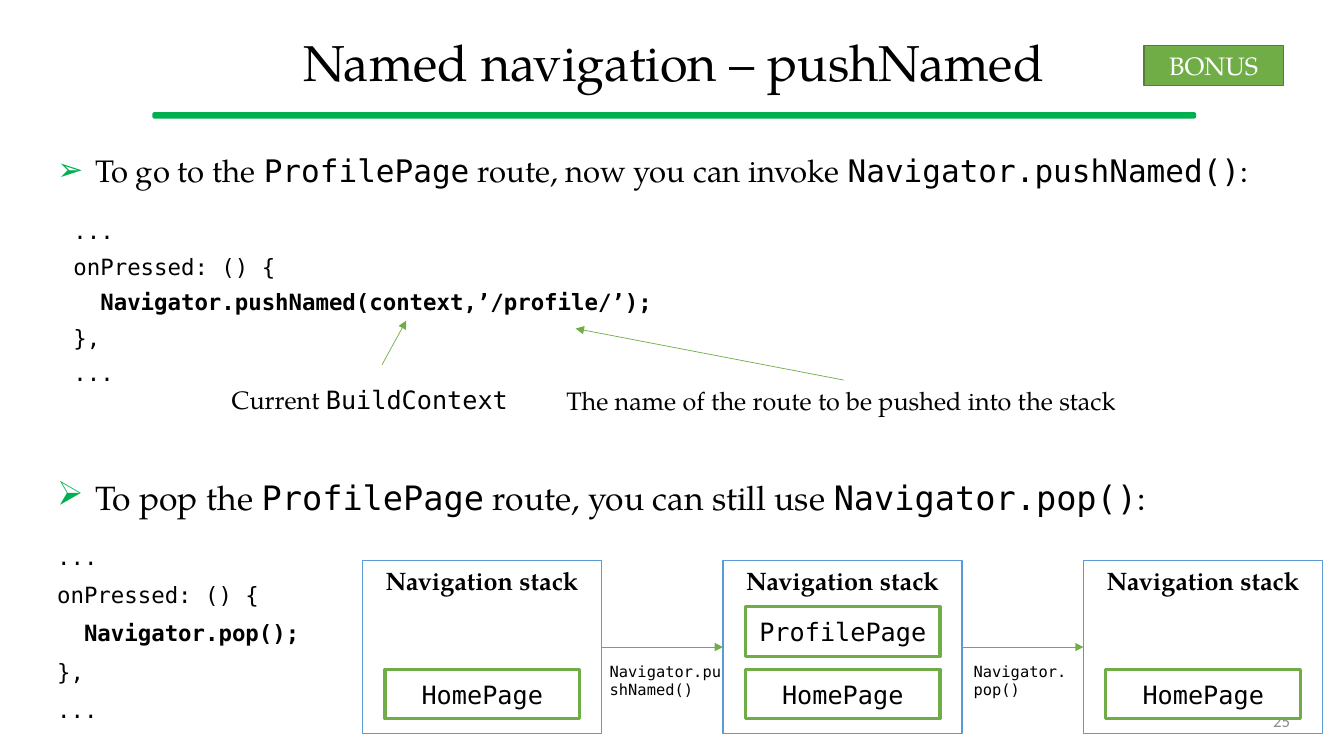
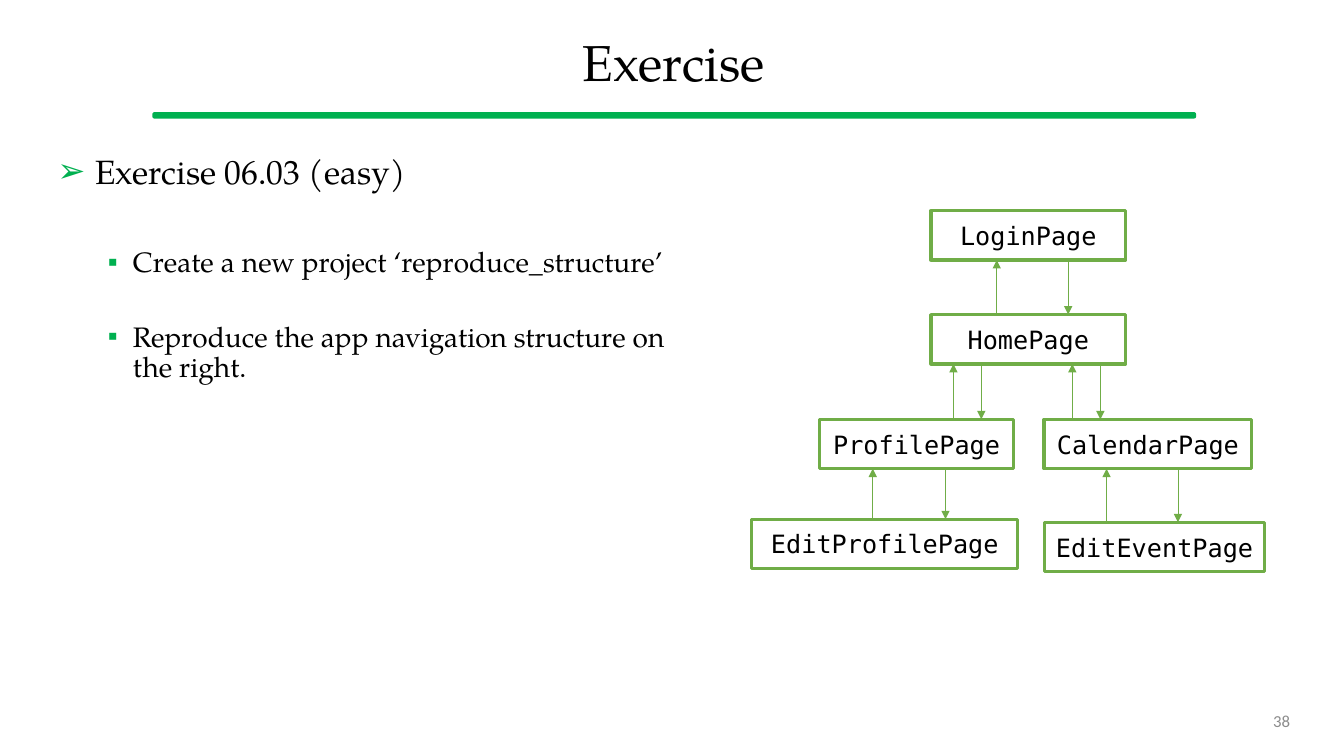
import collections

import lxml.etree
import pptx
import pptx.dml.color
import pptx.enum.shapes
import pptx.enum.text
import pptx.oxml.ns
import pptx.util

Pt = pptx.util.Pt
RGBColor = pptx.dml.color.RGBColor
Shape = pptx.enum.shapes.MSO_SHAPE
Align = pptx.enum.text.PP_ALIGN
Anchor = pptx.enum.text.MSO_ANCHOR
qn = pptx.oxml.ns.qn
Box = collections.namedtuple("Box", "left top width height")

BLACK = RGBColor(0x00, 0x00, 0x00)
WHITE = RGBColor(0xFF, 0xFF, 0xFF)
GRAY = RGBColor(0x8C, 0x8C, 0x8C)
ACCENT = RGBColor(0x00, 0xB0, 0x50)
GREEN = RGBColor(0x70, 0xAD, 0x47)
DARK_GREEN = RGBColor(0x53, 0x80, 0x35)
BLUE = RGBColor(0x5B, 0x9B, 0xD5)

SERIF = "TeX Gyre Pagella"
MONO = "DejaVu Sans Mono"
SANS = "Calibri"

TITLE_BOX = Box(33.8, 13, 895, 67.7)
RULE_BOX = Box(109.4, 80.6, 744.5, 3.6)
NUMBER_BOX = Box(678, 500.4, 250.6, 28.8)
PAGE_WIDTH, PAGE_HEIGHT = 139, 35.3


def in_points(box):
    return [Pt(length) for length in box]


def write_para(para, text, size=18, font=SERIF, color=BLACK, bold=False,
               align=Align.LEFT, spacing=None, before=None):
    para.alignment = align
    if spacing:
        para.line_spacing = spacing
    if before is not None:
        para.space_before = Pt(before)
    for index, part in enumerate(text.split("`")):
        span = para.add_run()
        span.text = part
        span.font.size = Pt(size)
        span.font.name = MONO if index % 2 else font
        span.font.color.rgb = color
        span.font.bold = bold


def add_bullet(para, char, margin, hanging):
    properties = para._p.get_or_add_pPr()
    properties.set("marL", str(Pt(margin)))
    properties.set("indent", str(-Pt(hanging)))
    color = lxml.etree.SubElement(properties, qn("a:buClr"))
    lxml.etree.SubElement(color, qn("a:srgbClr"), val=str(ACCENT))
    lxml.etree.SubElement(properties, qn("a:buChar"), char=char)


def write_bullet(para, text, level=0, size=24, before=0):
    para.level = level
    add_bullet(para, *(("▪", 54, 18) if level else ("➢", 27, 27)))
    write_para(para, text, size=size, spacing=0.9, before=before)


def add_frame(slide, box, anchor=Anchor.TOP):
    frame = slide.shapes.add_textbox(*in_points(box)).text_frame
    frame.word_wrap = True
    frame.vertical_anchor = anchor
    return frame


def add_label(slide, box, text, anchor=Anchor.TOP, **style):
    write_para(add_frame(slide, box, anchor).paragraphs[0], text, **style)


def add_code(slide, box, lines, bold_line, spacing):
    frame = add_frame(slide, box)
    for index, line in enumerate(lines):
        para = frame.add_paragraph() if index else frame.paragraphs[0]
        write_para(para, line, size=16, font=MONO, bold=index == bold_line,
                   spacing=spacing, before=10 if index else 0)


def add_panel(slide, box, fill, line, weight, text="", kind=Shape.RECTANGLE,
              anchor=Anchor.MIDDLE, **style):
    panel = slide.shapes.add_shape(kind, *in_points(box))
    panel.shadow.inherit = False
    if fill is None:
        panel.fill.background()
    else:
        panel.fill.solid()
        panel.fill.fore_color.rgb = fill
    panel.line.color.rgb = line
    panel.line.width = Pt(weight)
    if text:
        panel.text_frame.word_wrap = True
        panel.text_frame.vertical_anchor = anchor
        write_para(panel.text_frame.paragraphs[0], text, align=Align.CENTER, **style)
    return panel


def add_page(slide, box, name):
    return add_panel(slide, box, WHITE, GREEN, 2.25, name, font=MONO)


def add_arrow(slide, start_x, start_y, end_x, end_y):
    arrow = slide.shapes.add_connector(
        pptx.enum.shapes.MSO_CONNECTOR.STRAIGHT,
        *in_points((start_x, start_y, end_x, end_y)))
    arrow.line.color.rgb = GREEN
    arrow.line.width = Pt(0.5)
    properties = arrow._element.spPr
    lxml.etree.SubElement(properties.find(qn("a:ln")), qn("a:tailEnd"), type="triangle")
    lxml.etree.SubElement(properties, qn("a:effectLst"))
    return arrow


def add_base(deck, title, number, body_box):
    slide = deck.slides.add_slide(deck.slide_layouts[1])
    rule = add_panel(slide, RULE_BOX, ACCENT, ACCENT, 1, kind=Shape.ROUNDED_RECTANGLE)
    rule.adjustments[0] = 0.26
    body = slide.placeholders[1]
    for holder, box in ((slide.shapes.title, TITLE_BOX), (body, body_box)):
        holder.left, holder.top, holder.width, holder.height = in_points(box)
        holder.text_frame.auto_size = pptx.enum.text.MSO_AUTO_SIZE.NONE
    heading = slide.shapes.title.text_frame
    heading.vertical_anchor = Anchor.MIDDLE
    write_para(heading.paragraphs[0], title, size=36, align=Align.CENTER, spacing=0.9)
    add_label(slide, NUMBER_BOX, number, anchor=Anchor.MIDDLE, size=12,
              font=SANS, color=GRAY, align=Align.RIGHT)
    return slide, body.text_frame


def add_stack(slide, box, pages):
    for index, name in enumerate(pages):
        page_box = Box(box.left + 16, box.top + 77.8 - 44.6 * index,
                       PAGE_WIDTH, PAGE_HEIGHT)
        add_page(slide, page_box, name)
    return add_panel(slide, box, None, BLUE, 1, "Navigation stack",
                     anchor=Anchor.TOP, bold=True)


def add_stack_row(slide, box):
    width, step = 170.7, (box.width - 170.7) / 2
    contents = (["HomePage"], ["HomePage", "ProfilePage"], ["HomePage"])
    stacks = [add_stack(slide, Box(box.left + step * index, box.top, width, box.height), pages)
              for index, pages in enumerate(contents)]
    calls = (("Navigator.pushNamed()", -1.3, 95.8), ("Navigator.pop()", 1.2, 83.5))
    for index, (call, shift, label_width) in enumerate(calls):
        gap_left = box.left + step * index + width
        middle = box.top + box.height / 2
        arrow = add_arrow(slide, gap_left, middle, gap_left + step - width, middle)
        arrow.begin_connect(stacks[index], 3)
        arrow.end_connect(stacks[index + 1], 1)
        add_label(slide, Box(gap_left + shift, middle + 7, label_width, 33.8),
                  call, size=11, font=MONO)


def add_push_example(slide, box):
    lines = ("...", "onPressed: () {", "  Navigator.pushNamed(context,’/profile/’);", "},", "...")
    add_code(slide, box, lines, bold_line=2, spacing=0.8)
    notes = (("Current `BuildContext`", Box(113, 115.2, 213, 28.8), (227.5, 105, 244.8, 73.5)),
             ("The name of the route to be pushed into the stack",
              Box(352, 116, 430, 28.8), (557.3, 116, 365.8, 79.2)))
    for text, note, (start_x, start_y, end_x, end_y) in notes:
        add_label(slide, Box(box.left + note.left, box.top + note.top, note.width, note.height),
                  text)
        add_arrow(slide, box.left + start_x, box.top + start_y,
                  box.left + end_x, box.top + end_y)


def build_navigation_slide(deck):
    slide, body = add_base(deck, "Named navigation – pushNamed", "25",
                           Box(33.8, 107.3, 888.5, 47.5))
    write_bullet(body.paragraphs[0], "To go to the `ProfilePage` route, now you can invoke "
                 "`Navigator.pushNamed()`:", size=22.2)
    add_push_example(slide, Box(45.4, 155.5, 874.8, 131))
    pop_frame = add_frame(slide, Box(33.8, 340.6, 888.5, 47.5))
    write_bullet(pop_frame.paragraphs[0],
                 "To pop the `ProfilePage` route, you can still use `Navigator.pop()`:")
    add_code(slide, Box(33.8, 386.6, 222, 145),
             ("...", "onPressed: () {", "  Navigator.pop();", "},", "..."),
             bold_line=2, spacing=0.9)
    add_stack_row(slide, Box(259, 400.3, 685.7, 123.8))
    add_panel(slide, Box(817.2, 32.4, 99.4, 28.8), GREEN, DARK_GREEN, 1, "BONUS", color=WHITE)


def add_page_tree(slide, left, top):
    pages = {
        "LoginPage": (128, 0, PAGE_WIDTH),
        "HomePage": (128, 74.2, PAGE_WIDTH),
        "ProfilePage": (48.2, 149, PAGE_WIDTH),
        "CalendarPage": (208.8, 149, 148.3),
        "EditEventPage": (208.8, 222.5, 157.7),
        "EditProfilePage": (0, 220.3, 190),
    }
    for name, (page_left, page_top, width) in pages.items():
        add_page(slide, Box(left + page_left, top + page_top, width, PAGE_HEIGHT), name)
    links = (("LoginPage", "HomePage", 175, 51),
             ("HomePage", "ProfilePage", 144, 20),
             ("HomePage", "CalendarPage", 229, 20),
             ("ProfilePage", "EditProfilePage", 86.4, 52),
             ("CalendarPage", "EditEventPage", 253.4, 51))
    for parent, child, back, distance in links:
        upper = top + pages[parent][1] + PAGE_HEIGHT
        lower = top + pages[child][1]
        back_x = left + back
        add_arrow(slide, back_x, lower, back_x, upper)
        add_arrow(slide, back_x + distance, upper, back_x + distance, lower)


def build_exercise_slide(deck):
    slide, body = add_base(deck, "Exercise", "38", Box(33.8, 107.3, 455.8, 419.8))
    write_bullet(body.paragraphs[0], "Exercise 06.03 (easy)")
    tasks = (("Create a new project ‘reproduce_structure’", 40.7),
             ("Reproduce the app navigation structure on the right.", 31.5))
    for text, before in tasks:
        write_bullet(body.add_paragraph(), text, level=1, size=20, before=before)
    add_page_tree(slide, 537, 150.5)


def main():
    deck = pptx.Presentation()
    deck.slide_width, deck.slide_height = Pt(960), Pt(540)
    build_navigation_slide(deck)
    build_exercise_slide(deck)
    deck.save("out.pptx")


if __name__ == "__main__":
    main()
